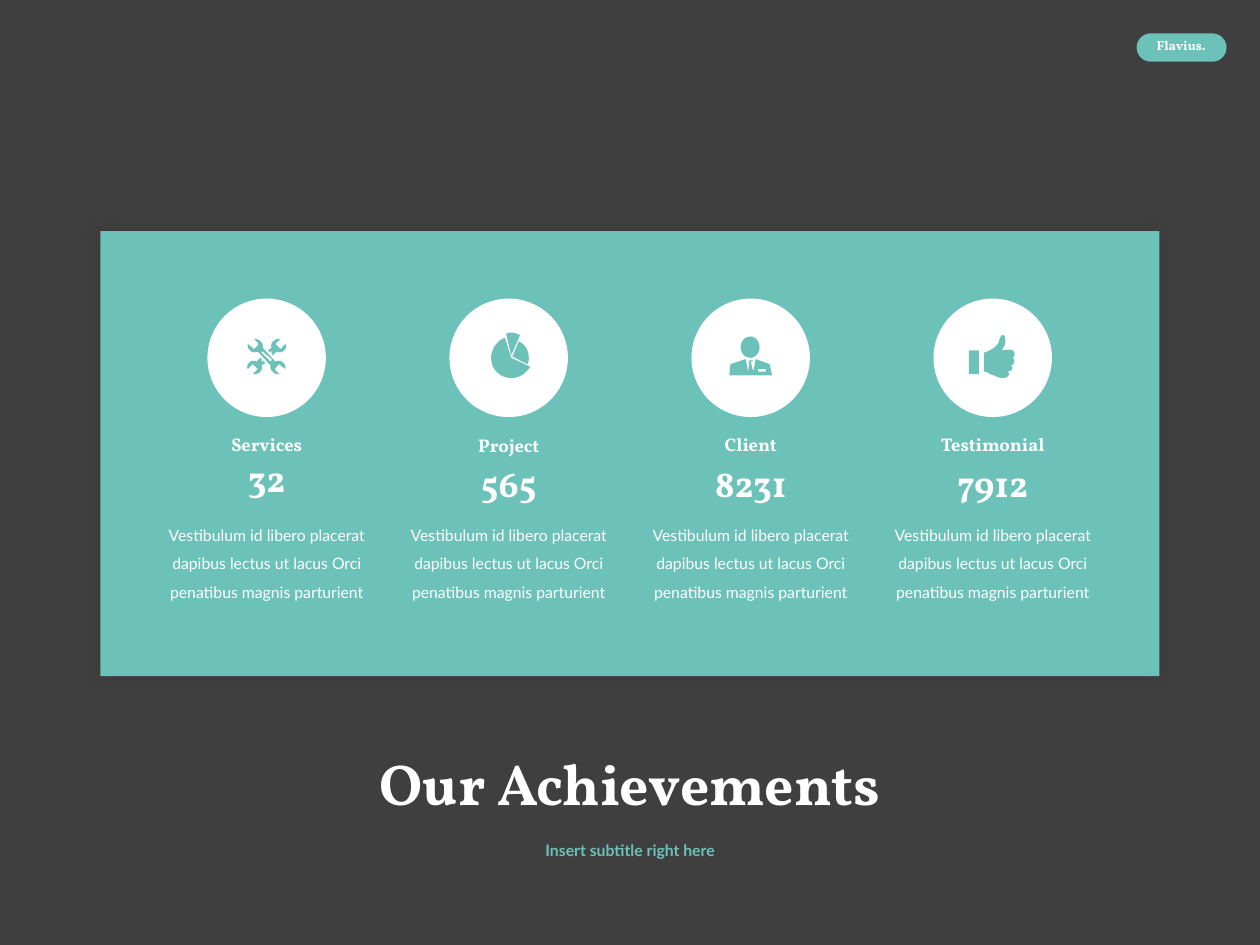
from lxml import etree
from pptx import Presentation
from pptx.dml.color import RGBColor
from pptx.enum import shapes, text
from pptx.oxml import ns
from pptx.util import Pt

COLORS = {"background": "3F3F3F", "teal": "6CC2B8", "white": "FFFFFF", "shadow": "000000"}
SERIF, SANS = "Vollkorn", "Lato"
BODY = "Vestibulum id libero placerat dapibus lectus ut lacus Orci penatibus magnis parturient"

# Columns: label, label top, number, number top (points)
COLUMNS = [
    ("Services", 244.8, "32", 257.8),
    ("Project", 245.5, "565", 260.6),
    ("Client", 244.8, "8231", 260.6),
    ("Testimonial", 244.8, "7912", 260.6),
]
FIRST_CENTER, PITCH, ICON_CENTER = 152.4, 138.3, 204.5
CIRCLE = 67.7

# Icon outlines on a grid around the circle's centre:
# a pair is a corner, six numbers are a Bézier curve
GRID = 0.72
WRENCH_HEAD = [
    (3, -4), (3, -5), (4, -5), (4, -3), (5, -2), (8, -5),
    (10, -4, 12, -4, 14, -6), (15, -7, 16, -9, 15, -11), (12, -8),
    (12, -7, 11, -7, 10, -8), (8, -10), (7, -10, 7, -11, 8, -12), (11, -15),
    (9, -15, 7, -15, 5, -13), (4, -12, 3, -10, 4, -8), (1, -6),
]
WRENCH_HALF = [
    (-3, -8), (-3, -10, -3, -12, -5, -13), (-6, -15, -9, -15, -10, -15), (-7, -12),
    (-7, -11, -7, -10, -7, -10), (-9, -8), (-10, -7, -11, -7, -11, -8), (-15, -11),
    (-15, -9, -15, -7, -13, -6), (-12, -4, -9, -4, -7, -5),
]
WRENCH_SLOT = [(4, 2), (3, 3), (-4, -4), (-4, -5), (-3, -5), (4, 1)]
PIE_RIGHT = [(3, -1), (15, 5), (16, 3, 16, 1, 16, 0), (16, -6, 13, -11, 8, -13)]
PIE_BODY = [
    (2, 0), (-3, -16), (-9, -14, -14, -7, -14, 0), (-14, 9, -7, 16, 2, 16),
    (9, 16, 14, 12, 17, 7),
]
PIE_TOP = [(2, -2), (9, -18), (7, -19, 5, -20, 2, -20), (0, -20, -1, -20, -2, -19)]
SUIT = [
    (15, 5), (4, 1), (2, 11), (0, 3), (1, 3), (2, 2), (-2, 2), (-1, 3), (-2, 11),
    (-4, 1), (-16, 5), (-17, 14), (17, 14),
]
POCKET = [(12, 11), (6, 11), (6, 9), (12, 9)]
HEAD = (-8, -17, 15, 17)
THUMB = [
    (16, -6), (14, -7, 7, -6, 7, -6), (8, -7, 10, -11, 10, -12), (10, -15, 10, -18, 8, -18),
    (6, -18, 6, -15, 5, -14), (5, -11, 2, -9, 1, -8), (-2, -6, -4, -5, -7, -4), (-7, 11),
    (-5, 11, -3, 12, -2, 13), (2, 14, 4, 16, 8, 16), (14, 16, 14, 11, 11, 11),
    (16, 11, 17, 7, 14, 6), (18, 6, 18, 0, 15, 0), (18, 0, 18, -4, 16, -6),
]
CUFF = (-19, -6, 8, 19)


def color(name):
    return RGBColor.from_string(COLORS[name])


def paint(shape, fill):
    shape.shadow.inherit = False
    shape.fill.solid()
    shape.fill.fore_color.rgb = color(fill)
    shape.line.fill.background()
    return shape


def add_preset(container, kind, left, top, width, height, fill):
    shape = container.shapes.add_shape(kind, Pt(left), Pt(top), Pt(width), Pt(height))
    return paint(shape, fill)


def add_text(slide, content, center, top, width, height, size, font=SERIF, bold=True,
             fill="white", spacing=None, middle=False):
    box = slide.shapes.add_textbox(Pt(center - width / 2), Pt(top), Pt(width), Pt(height))
    frame = box.text_frame
    frame.word_wrap = True
    frame.margin_left = frame.margin_right = Pt(5.4)
    frame.margin_top = frame.margin_bottom = Pt(2.7)
    if middle:
        frame.vertical_anchor = text.MSO_ANCHOR.MIDDLE
    frame.text = content
    paragraph = frame.paragraphs[0]
    paragraph.alignment = text.PP_ALIGN.CENTER
    if spacing:
        paragraph.line_spacing = spacing
    run_font = paragraph.runs[0].font
    run_font.name, run_font.size, run_font.bold = font, Pt(size), bold
    run_font.color.rgb = color(fill)


def add_soft_shadow(shape, blur, opacity):
    effects = shape.element.spPr.find(ns.qn("a:effectLst"))
    shadow = etree.SubElement(effects, ns.qn("a:outerShdw"), blurRad=str(Pt(blur)), dist="0",
                              dir="0", algn="ctr", rotWithShape="0")
    tone = etree.SubElement(shadow, ns.qn("a:srgbClr"), val=COLORS["shadow"])
    etree.SubElement(tone, ns.qn("a:alpha"), val=str(opacity * 1000))


def rotate_half_turn(outline):
    """Turn an outline by 180 degrees about the crossing of the wrenches."""
    return [tuple(-2 - v if i % 2 else -v for i, v in enumerate(step)) for step in outline]


def flatten(outline, steps=8):
    points = []
    for step in outline:
        if len(step) == 2:
            points.append(step)
            continue
        controls = [points[-1], step[:2], step[2:4], step[4:]]
        for t in (i / steps for i in range(1, steps + 1)):
            weights = ((1 - t) ** 3, 3 * t * (1 - t) ** 2, 3 * t * t * (1 - t), t ** 3)
            points.append(tuple(sum(w * c[axis] for w, c in zip(weights, controls))
                                for axis in (0, 1)))
    return points


def add_outline(group, center, *outlines):
    builder = None
    for outline in outlines:
        first, *rest = [(Pt(center + x * GRID), Pt(ICON_CENTER + y * GRID))
                        for x, y in flatten(outline)]
        if builder is None:
            builder = group.shapes.build_freeform(*first, scale=1.0)
        else:
            builder.move_to(*first)
        builder.add_line_segments(rest, close=True)
    paint(builder.convert_to_shape(), "teal")


def add_icon_part(group, kind, center, bounds):
    x, y, width, height = (v * GRID for v in bounds)
    add_preset(group, kind, center + x, ICON_CENTER + y, width, height, "teal")


def add_icon(slide, label, center):
    group = slide.shapes.add_group_shape()
    if label == "Services":
        add_outline(group, center, WRENCH_HEAD)
        add_outline(group, center, rotate_half_turn(WRENCH_HEAD))
        add_outline(group, center, WRENCH_HALF + rotate_half_turn(WRENCH_HALF), WRENCH_SLOT)
    elif label == "Project":
        for piece in (PIE_RIGHT, PIE_BODY, PIE_TOP):
            add_outline(group, center, piece)
    elif label == "Client":
        add_outline(group, center, SUIT, POCKET)
        add_icon_part(group, shapes.MSO_SHAPE.OVAL, center, HEAD)
    else:
        add_outline(group, center, THUMB)
        add_icon_part(group, shapes.MSO_SHAPE.RECTANGLE, center, CUFF)


def add_column(slide, center, label, label_top, number, number_top):
    add_preset(slide, shapes.MSO_SHAPE.OVAL, center - CIRCLE / 2, ICON_CENTER - CIRCLE / 2,
               CIRCLE, CIRCLE, "white")
    add_icon(slide, label, center)
    add_text(slide, label, center, label_top, 98, 20, 10.5)
    add_text(slide, number, center, number_top, 98, 32.4, 21)
    add_text(slide, BODY, center, 292.3, 131.8, 54.7, 9, SANS, bold=False, spacing=1.5)


def main():
    presentation = Presentation()
    presentation.slide_width, presentation.slide_height = Pt(720), Pt(540)
    slide = presentation.slides.add_slide(presentation.slide_layouts[6])
    slide.background.fill.solid()
    slide.background.fill.fore_color.rgb = color("background")

    # Name tag
    tag = add_preset(slide, shapes.MSO_SHAPE.ROUNDED_RECTANGLE, 650, 19.6, 50.4, 15.2, "teal")
    tag.adjustments[0] = 0.5
    tag.line.color.rgb = color("teal")
    tag.line.width = Pt(1)
    add_text(slide, "Flavius.", 675, 18.7, 45.4, 16.6, 7.5)

    # Title and subtitle
    add_text(slide, "Our Achievements", 360, 412.6, 405.4, 74.2, 33, spacing=0.9, middle=True)
    add_text(slide, "Insert subtitle right here", 360, 473, 405.4, 27.4, 9, SANS,
             fill="teal", spacing=0.9, middle=True)

    # Panel with the four figures
    panel = add_preset(slide, shapes.MSO_SHAPE.RECTANGLE, 57.4, 132, 605.2, 254.4, "teal")
    add_soft_shadow(panel, blur=9, opacity=9)
    for index, column in enumerate(COLUMNS):
        add_column(slide, FIRST_CENTER + index * PITCH, *column)

    presentation.save("out.pptx")


if __name__ == "__main__":
    main()
